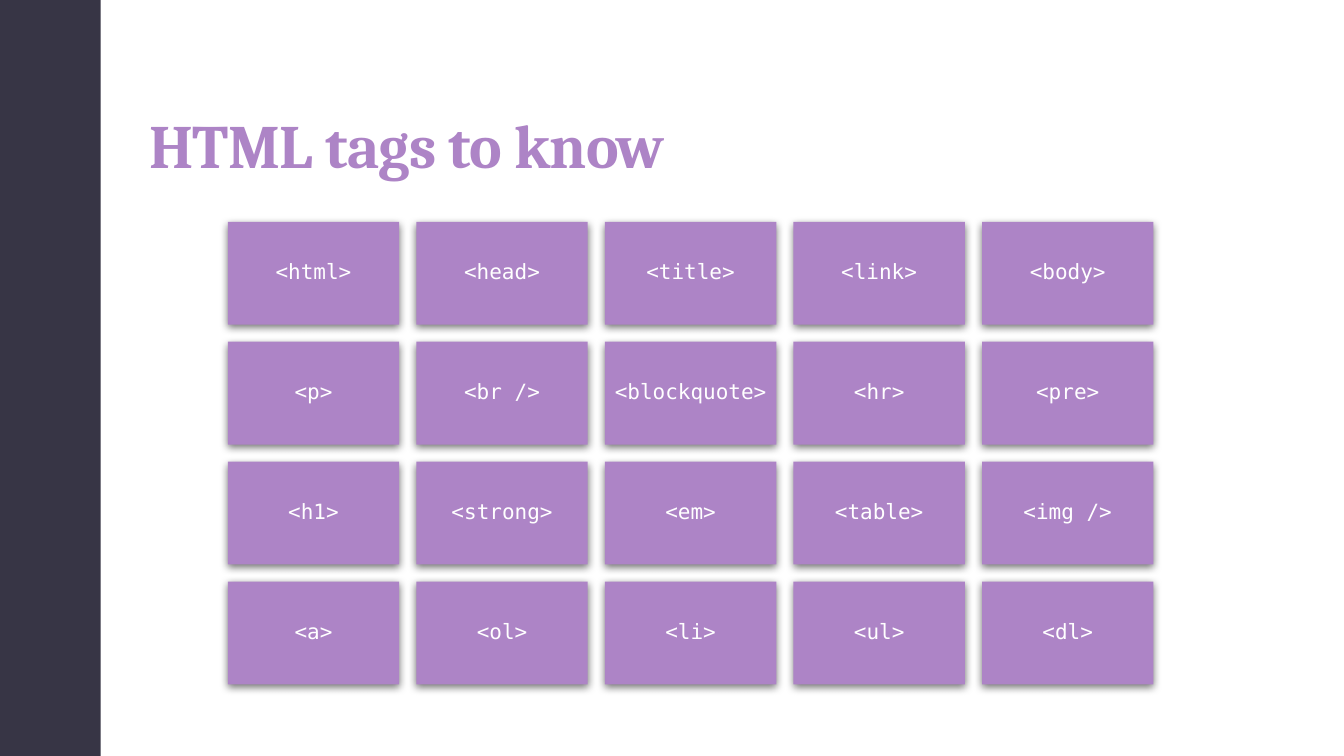
from pptx import Presentation
from pptx.dml.color import RGBColor
from pptx.enum.shapes import MSO_SHAPE
from pptx.enum.text import MSO_ANCHOR, MSO_AUTO_SIZE, PP_ALIGN
from pptx.oxml import parse_xml
from pptx.oxml.ns import nsdecls, qn
from pptx.util import Inches, Pt

PURPLE = RGBColor(0xAD, 0x84, 0xC6)
DARK = RGBColor(0x37, 0x35, 0x45)
WHITE = RGBColor(0xFF, 0xFF, 0xFF)

TAGS = [
    ["<html>", "<head>", "<title>", "<link>", "<body>"],
    ["<p>", "<br />", "<blockquote>", "<hr>", "<pre>"],
    ["<h1>", "<strong>", "<em>", "<table>", "<img />"],
    ["<a>", "<ol>", "<li>", "<ul>", "<dl>"],
]

# Tile grid, in inches
LEFT, TOP = 2.26, 2.2
WIDTH, HEIGHT = 1.7, 1.02
GAP = 0.17

SHADOW = (
    f'<a:outerShdw {nsdecls("a")} blurRad="{Pt(6)}" dist="{Pt(2)}" '
    'dir="5400000" algn="ctr" rotWithShape="0">'
    '<a:srgbClr val="000000"><a:alpha val="55000"/></a:srgbClr>'
    '</a:outerShdw>'
)


def style(para, font, size, color, bold=False):
    para.line_spacing = 0.9
    para.font.name = font
    para.font.size = Pt(size)
    para.font.color.rgb = color
    para.font.bold = bold


def set_title(slide, text):
    title = slide.shapes.title
    title.left, title.top = Inches(1.38), Inches(0.29)
    title.width, title.height = Inches(10.93), Inches(1.56)
    frame = title.text_frame
    frame.text = text
    frame.word_wrap = True
    frame.auto_size = MSO_AUTO_SIZE.NONE
    frame.vertical_anchor = MSO_ANCHOR.BOTTOM
    frame.margin_left = frame.margin_right = Inches(0.1)
    frame.margin_top, frame.margin_bottom = Inches(0.03), Inches(0.05)
    para = frame.paragraphs[0]
    para.alignment = PP_ALIGN.LEFT
    style(para, "Cambria", 44, PURPLE, bold=True)
    # Tighten the letters by half a point
    para.runs[0]._r.get_or_add_rPr().set("spc", "-50")


def add_box(slide, left, top, width, height, color):
    box = slide.shapes.add_shape(
        MSO_SHAPE.RECTANGLE,
        Inches(left), Inches(top), Inches(width), Inches(height))
    box.fill.solid()
    box.fill.fore_color.rgb = color
    box.line.fill.background()
    box.shadow.inherit = False
    return box


def add_tile(slide, left, top, tag):
    tile = add_box(slide, left, top, WIDTH, HEIGHT, PURPLE)
    tile._element.spPr.find(qn("a:effectLst")).append(parse_xml(SHADOW))
    frame = tile.text_frame
    frame.text = tag
    frame.word_wrap = True
    frame.vertical_anchor = MSO_ANCHOR.MIDDLE
    frame.margin_left = frame.margin_right = Inches(0.06)
    frame.margin_top = frame.margin_bottom = Inches(0.06)
    para = frame.paragraphs[0]
    para.alignment = PP_ALIGN.CENTER
    style(para, "DejaVu Sans Mono", 15, WHITE)


def main():
    deck = Presentation()
    deck.slide_width, deck.slide_height = Inches(13.33), Inches(7.5)
    slide = deck.slides.add_slide(deck.slide_layouts[5])
    slide.background.fill.solid()
    slide.background.fill.fore_color.rgb = WHITE

    # Side bar and title
    add_box(slide, 0, 0, 1, 7.5, DARK)
    set_title(slide, "HTML tags to know")

    # Grid of tags
    for row, tags in enumerate(TAGS):
        for col, tag in enumerate(tags):
            left = LEFT + col * (WIDTH + GAP)
            top = TOP + row * (HEIGHT + GAP)
            add_tile(slide, left, top, tag)

    deck.save("out.pptx")


if __name__ == "__main__":
    main()
